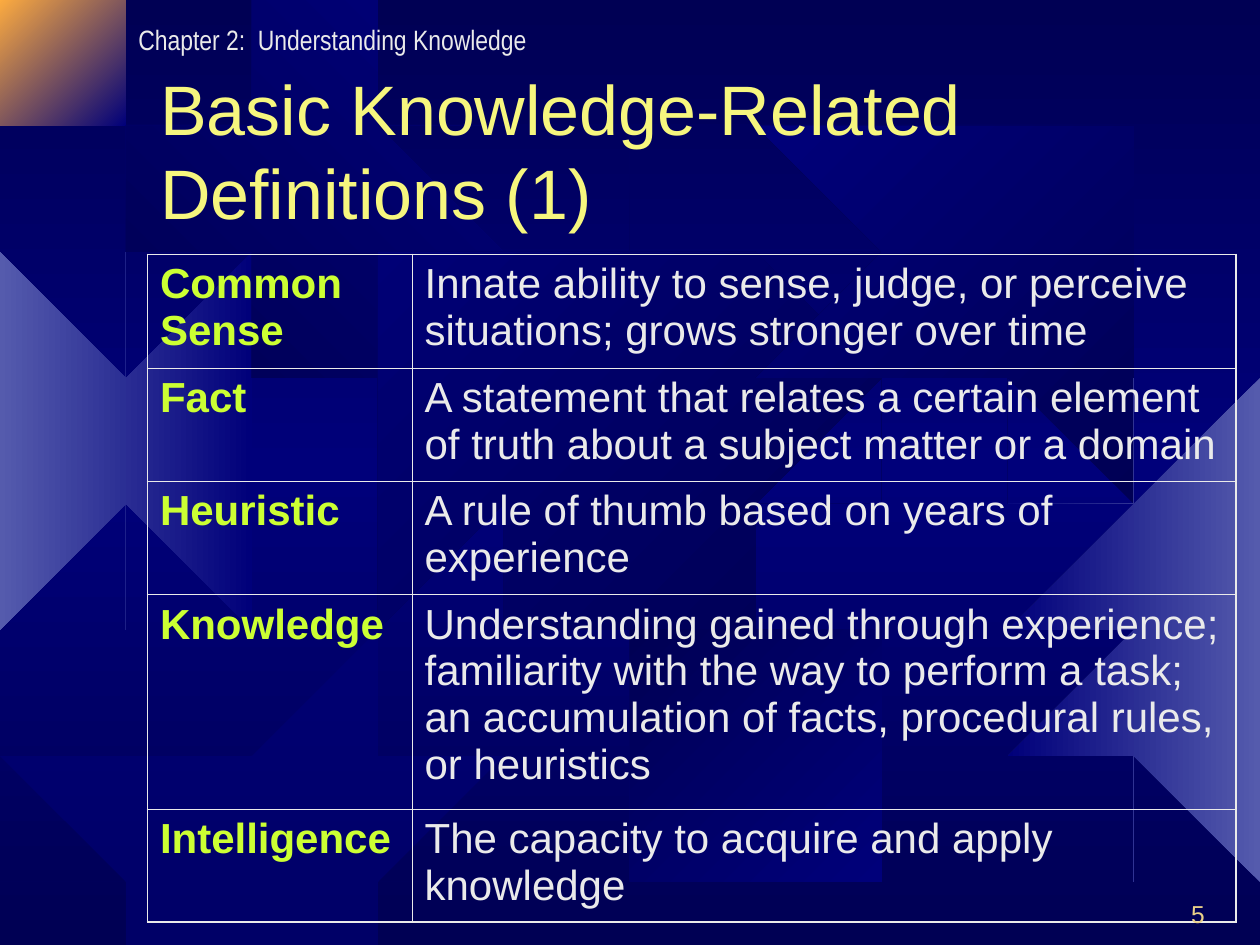
from copy import deepcopy

from lxml.etree import SubElement
from pptx import Presentation
from pptx.dml.color import RGBColor
from pptx.enum.text import MSO_ANCHOR as Anchor, MSO_AUTO_SIZE as AutoSize, PP_ALIGN as Align
from pptx.oxml.ns import qn
from pptx.util import Inches, Pt

NAVY, BLUE, STEEL, ORANGE = "000054", "00007A", "555BAD", "FCAB40"
YELLOW, LIME, PALE, GOLD = "F6F67E", "CCFF33", "EAEAEA", "EBD189"
WIDTH, HEIGHT = 10, 7.5


def color(hex_text):
    return RGBColor.from_string(hex_text)


def write(frame, text, align=Align.LEFT, **font_values):
    frame.word_wrap = True
    para = frame.paragraphs[0]
    para.alignment = align
    span = para.add_run()
    span.text = text
    span.font.color.rgb = color(font_values.pop("hue"))
    for name, value in font_values.items():
        setattr(span.font, name, value)


deck = Presentation()
deck.slide_width, deck.slide_height = Inches(WIDTH), Inches(HEIGHT)
page = deck.slides.add_slide(deck.slide_layouts[5])

backdrop = page.background.fill
backdrop.gradient()
backdrop.gradient_angle = 270
stop_list = page.element.find(".//" + qn("a:gsLst"))
stop_list.append(deepcopy(stop_list[-1]))
for stop, position, hue in zip(backdrop.gradient_stops, (0, 0.5, 1), (NAVY, BLUE, NAVY)):
    stop.position = position
    stop.color.rgb = color(hue)

GEAR_SPAN = 401
GEAR_OUTLINE = [
    (255, 67), (223, 59), (219, 0), (180, 3), (177, 59), (151, 68),
    (113, 20), (87, 35), (112, 88), (94, 106), (38, 85), (25, 107),
    (68, 145), (61, 174), (1, 178), (0, 210), (61, 219), (67, 246),
    (22, 287), (38, 312), (88, 288), (107, 307), (81, 355), (106, 375),
    (151, 332), (177, 340), (183, 400), (222, 401), (226, 339), (259, 330),
    (299, 374), (325, 358), (299, 306), (316, 284), (368, 309), (384, 281),
    (336, 246), (342, 216), (401, 210), (400, 180), (341, 171), (335, 148),
    (383, 114), (367, 87), (313, 109), (296, 91), (323, 41), (297, 25),
]
SLIDE_EDGES = [(0, 1, 0), (0, -1, WIDTH), (1, 1, 0), (1, -1, HEIGHT)]
GEARS = [
    (-0.49, 2.01, 2.96, BLUE, STEEL, 180),
    (0.12, -0.04, 0.92, BLUE, ORANGE, 135),
    (1.3, 0.39, 2.48, BLUE, NAVY, 225),
    (2.77, 1.39, 4.01, NAVY, BLUE, 135),
    (0, 5.25, 3.74, BLUE, None, 0),
    (4.91, 4.84, 2.48, BLUE, NAVY, 135),
    (6.18, 0.53, 3.2, NAVY, BLUE, 135),
    (7.82, 2.8, 4.37, STEEL, BLUE, 180),
]
for left, top, size, start, end, angle in GEARS:
    points = [(left + x * size / GEAR_SPAN, top + y * size / GEAR_SPAN)
              for x, y in GEAR_OUTLINE]
    for axis, sign, edge in SLIDE_EDGES:
        clipped = []
        for before, after in zip(points[-1:] + points[:-1], points):
            was_in, is_in = (sign * (point[axis] - edge) >= 0 for point in (before, after))
            if was_in != is_in:
                share = (edge - before[axis]) / (after[axis] - before[axis])
                clipped.append(tuple(a + share * (b - a) for a, b in zip(before, after)))
            if is_in:
                clipped.append(after)
        points = clipped
    builder = page.shapes.build_freeform(*points[0], scale=Inches(1))
    builder.add_line_segments(points[1:], close=True)
    gear = builder.convert_to_shape()
    gear.shadow.inherit = False
    gear.line.fill.background()
    if end:
        gear.fill.gradient()
        gear.fill.gradient_angle = angle
        for stop, hue in zip(gear.fill.gradient_stops, (start, end)):
            stop.color.rgb = color(hue)
    else:
        gear.fill.solid()
        gear.fill.fore_color.rgb = color(start)
        SubElement(gear.element.spPr.find(".//" + qn("a:srgbClr")), qn("a:alpha"), val="50000")

chapter = page.shapes.add_textbox(Inches(1), Inches(0.13), Inches(6.42), Inches(0.37))
write(chapter.text_frame, "Chapter 2:  Understanding Knowledge",
      hue=PALE, size=Pt(16), name="Arial Narrow")

title = page.shapes.title
title.element.getparent().append(title.element)
title_format = {"left": 1.17, "top": 0.65, "width": 8.5, "height": 1.25}
for name, value in title_format.items():
    setattr(title, name, Inches(value))
title.text_frame.auto_size = AutoSize.NONE
title.text_frame.vertical_anchor = Anchor.BOTTOM
write(title.text_frame, "Basic Knowledge-Related Definitions (1)",
      hue=YELLOW, size=Pt(40), name="Arial")

DEFINITIONS = [
    ("Common Sense", "Innate ability to sense, judge, or perceive situations; grows stronger over time"),
    ("Fact", "A statement that relates a certain element of truth about a subject matter or a domain"),
    ("Heuristic", "A rule of thumb based on years of experience"),
    ("Knowledge", "Understanding gained through experience; familiarity with the way to perform "
                  "a task; an accumulation of facts, procedural rules, or heuristics"),
    ("Intelligence", "The capacity to acquire and apply knowledge"),
]
COLUMN_WIDTHS = [2.1, 6.54]
ROW_HEIGHTS = [0.9, 0.9, 0.9, 1.7, 0.9]
table = page.shapes.add_table(
    len(ROW_HEIGHTS), len(COLUMN_WIDTHS), Inches(1.17), Inches(2.02),
    Inches(sum(COLUMN_WIDTHS)), Inches(sum(ROW_HEIGHTS))).table
table.first_row = table.horz_banding = False
for column, width in zip(table.columns, COLUMN_WIDTHS):
    column.width = Inches(width)
last_row = len(ROW_HEIGHTS) - 1
for row_index, (entry, height) in enumerate(zip(DEFINITIONS, ROW_HEIGHTS)):
    table.rows[row_index].height = Inches(height)
    for column_index, text in enumerate(entry):
        cell = table.cell(row_index, column_index)
        is_term = column_index == 0
        write(cell.text_frame, text, hue=LIME if is_term else PALE,
              size=Pt(24), name="Arial", bold=is_term)
        outer_sides = {"lnL": is_term, "lnR": not is_term,
                       "lnT": row_index == 0, "lnB": row_index == last_row}
        properties = cell._tc.get_or_add_tcPr()
        for side, is_outer in outer_sides.items():
            border = SubElement(properties, qn("a:" + side), w=str(Pt(1.08 if is_outer else 0.45)))
            SubElement(SubElement(border, qn("a:solidFill")), qn("a:srgbClr"), val=PALE)
        cell.fill.background()

number = page.shapes.add_textbox(Inches(7.58), Inches(6.92), Inches(2.08), Inches(0.5))
number.text_frame.vertical_anchor = Anchor.BOTTOM
write(number.text_frame, "5", Align.RIGHT, hue=GOLD, size=Pt(14), name="Arial")

deck.save("out.pptx")
